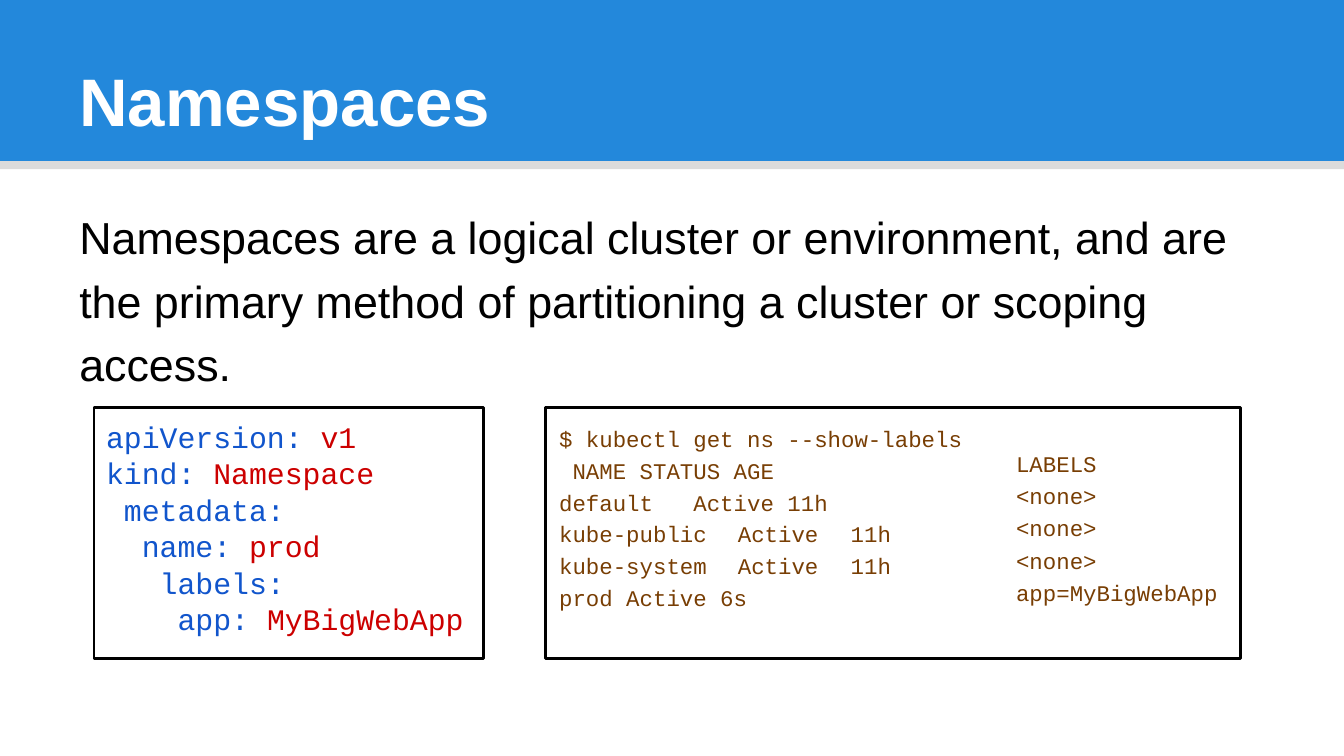
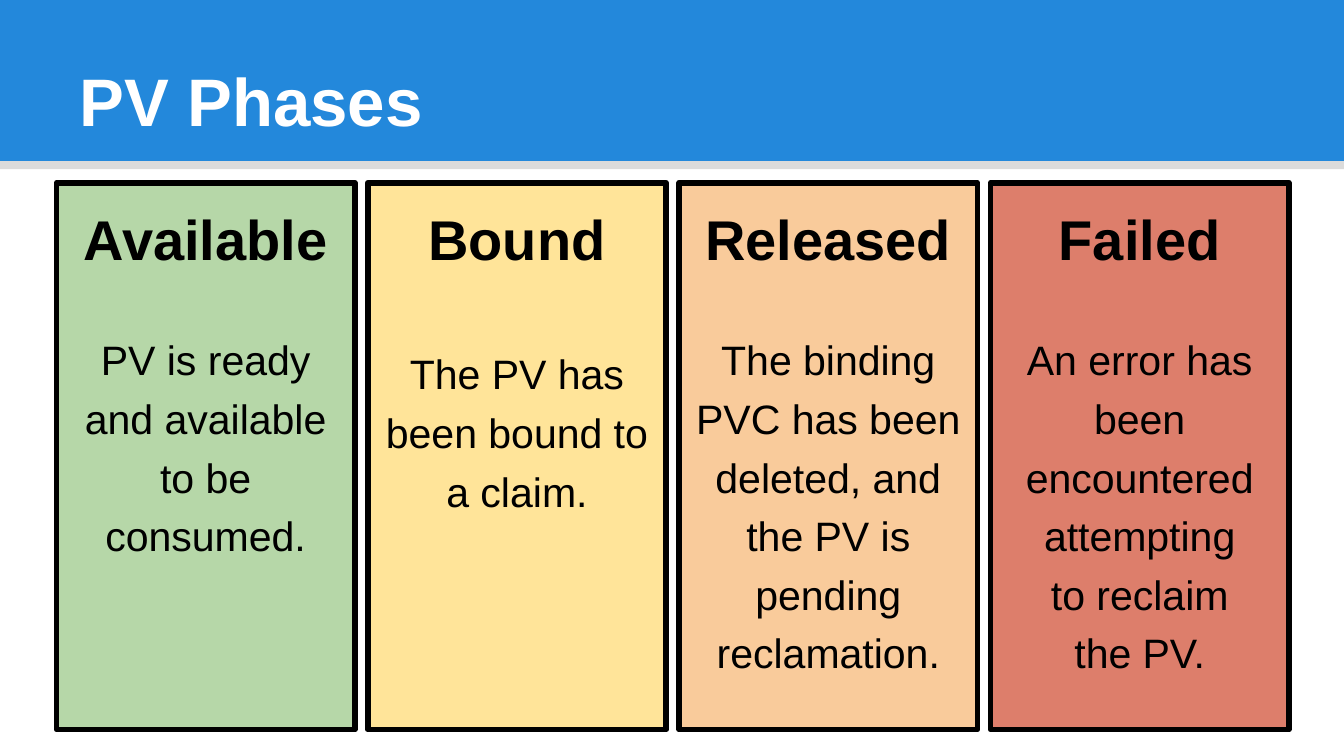
from pptx import Presentation
from pptx.dml.color import RGBColor
from pptx.enum import shapes, text
from pptx.util import Inches, Pt

BLUE = RGBColor(0x23, 0x88, 0xDB)
STRIP = RGBColor(0xDB, 0xDB, 0xDB)
WHITE = RGBColor(0xFF, 0xFF, 0xFF)
BLACK = RGBColor(0, 0, 0)
KEY = RGBColor(0x11, 0x55, 0xCC)
VALUE = RGBColor(0xCC, 0, 0)
CONSOLE = RGBColor(0x78, 0x3E, 0x04)
GREEN = RGBColor(0xB6, 0xD7, 0xA8)
YELLOW = RGBColor(0xFF, 0xE4, 0x99)
ORANGE = RGBColor(0xF9, 0xCB, 0x9B)
RED = RGBColor(0xDD, 0x7E, 0x6B)
SANS = "Arial"
MONO = "Courier New"
SLIDE_WIDTH = 10
SLIDE_HEIGHT = SLIDE_WIDTH * 9 / 16

INTRO = ("Namespaces are a logical cluster or environment, and are "
         "the primary method of partitioning a cluster or scoping access.")
MANIFEST = [
    ("apiVersion: ", "v1"),
    ("kind: ", "Namespace"),
    (" metadata:", ""),
    ("  name: ", "prod"),
    ("   labels:", ""),
    ("    app: ", "MyBigWebApp"),
]
COMMAND = [
    "$ kubectl get ns --show-labels",
    " NAME STATUS AGE",
    "default   Active 11h",
    "kube-public\tActive\t11h",
    "kube-system\tActive\t11h",
    "prod Active 6s",
]
COMMAND_TABS = (1.33, 2.17)
LABELS = ["LABELS", "<none>", "<none>", "<none>", "app=MyBigWebApp"]
PHASES = [
    ("Available", GREEN, 29,
     ["PV is ready", "and available", "to be", "consumed."]),
    ("Bound", YELLOW, 36.5,
     ["The PV has", "been bound to", "a claim."]),
    ("Released", ORANGE, 29,
     ["The binding", "PVC has been", "deleted, and", "the PV is",
      "pending", "reclamation."]),
    ("Failed", RED, 29,
     ["An error has", "been", "encountered", "attempting",
      "to reclaim", "the PV."]),
]


def set_up_frame(shape, top=0, left=0):
    frame = shape.text_frame
    frame.word_wrap = True
    frame.vertical_anchor = text.MSO_ANCHOR.TOP
    frame.margin_left = Inches(left)
    frame.margin_top = Inches(top)
    frame.margin_right = frame.margin_bottom = 0
    return frame


def add_rectangle(slide, box, fill=None, line_width=None):
    shape = slide.shapes.add_shape(
        shapes.MSO_SHAPE.RECTANGLE, *map(Inches, box))
    shape.shadow.inherit = False
    if fill is None:
        shape.fill.background()
    else:
        shape.fill.solid()
        shape.fill.fore_color.rgb = fill
    if line_width is None:
        shape.line.fill.background()
    else:
        shape.line.color.rgb = BLACK
        shape.line.width = Pt(line_width)
    return shape


def format_run(run, font, size, color, bold=False):
    run.font.name = font
    run.font.size = Pt(size)
    run.font.color.rgb = color
    run.font.bold = bold


def format_runs(paragraph, *style):
    for run in paragraph.runs:
        format_run(run, *style)


def write_lines(frame, lines, font, size, color, spacing=1.0, bold=False):
    frame.text = "\n".join(lines)
    for paragraph in frame.paragraphs:
        paragraph.alignment = text.PP_ALIGN.LEFT
        paragraph.line_spacing = spacing
        format_runs(paragraph, font, size, color, bold)


def add_text(slide, box, lines, top, *style, **options):
    shape = slide.shapes.add_textbox(*map(Inches, box))
    frame = set_up_frame(shape, top)
    write_lines(frame, lines, *style, **options)
    return frame


def add_tab_stops(paragraph, positions):
    properties = paragraph._p.get_or_add_pPr()
    tab_list = properties.makeelement(
        properties.tag.replace("pPr", "tabLst"), {})
    for position in positions:
        tab = tab_list.makeelement(
            tab_list.tag.replace("tabLst", "tab"),
            {"pos": str(Inches(position)), "algn": "l"})
        tab_list.append(tab)
    properties.append(tab_list)


def add_slide(presentation, title, title_width):
    slide = presentation.slides.add_slide(presentation.slide_layouts[6])
    add_rectangle(slide, (0, 0, SLIDE_WIDTH, 1.2), BLUE)
    add_rectangle(slide, (0, 1.2, SLIDE_WIDTH, 0.06), STRIP)
    add_text(slide, (0.59, 0.43, title_width, 0.63), [title], 0.01,
             SANS, 36, WHITE, bold=True)
    return slide


def add_manifest(slide):
    panel = add_rectangle(slide, (0.7, 3.03, 2.9, 1.87), line_width=1.5)
    frame = set_up_frame(panel, 0.08, 0.09)
    write_lines(frame, [key for key, _ in MANIFEST], MONO, 16, KEY, 1.02)
    for paragraph, (_, value) in zip(frame.paragraphs, MANIFEST):
        if value:
            run = paragraph.add_run()
            run.text = value
            format_run(run, MONO, 16, VALUE)


def add_console(slide):
    add_rectangle(slide, (4.06, 3.03, 5.17, 1.87), line_width=1.5)
    frame = add_text(slide, (4.16, 3.11, 3.01, 1.22), COMMAND, 0.02,
                     MONO, 12, CONSOLE, 1.18)
    for paragraph in frame.paragraphs:
        if "\t" in paragraph.text:
            add_tab_stops(paragraph, COMMAND_TABS)
    add_text(slide, (7.56, 3.3, 1.51, 1.02), LABELS, 0.01,
             MONO, 12, CONSOLE, 1.2)


def add_phases(slide, left=0.42, right=9.59, width=2.22):
    pitch = (right - left - width) / (len(PHASES) - 1)
    for index, (name, fill, space, lines) in enumerate(PHASES):
        box = (left + index * pitch, 1.36, width, 4.07)
        frame = set_up_frame(add_rectangle(slide, box, fill, 3), 0.16)
        heading = frame.paragraphs[0]
        heading.text = name
        format_runs(heading, SANS, 30, BLACK, True)
        description = frame.add_paragraph()
        description.text = "\v".join(lines)
        description.line_spacing = 1.19
        description.space_before = Pt(space)
        format_runs(description, SANS, 22, BLACK)
        for paragraph in frame.paragraphs:
            paragraph.alignment = text.PP_ALIGN.CENTER


def main():
    presentation = Presentation()
    presentation.slide_width = Inches(SLIDE_WIDTH)
    presentation.slide_height = Inches(SLIDE_HEIGHT)

    slide = add_slide(presentation, "Namespaces", 3.08)
    add_text(slide, (0.59, 1.46, 8.56, 1.22), [INTRO], 0.03,
             SANS, 24, BLACK, 1.18)
    add_manifest(slide)
    add_console(slide)

    add_phases(add_slide(presentation, "PV Phases", 2.58))
    presentation.save("out.pptx")


if __name__ == "__main__":
    main()
